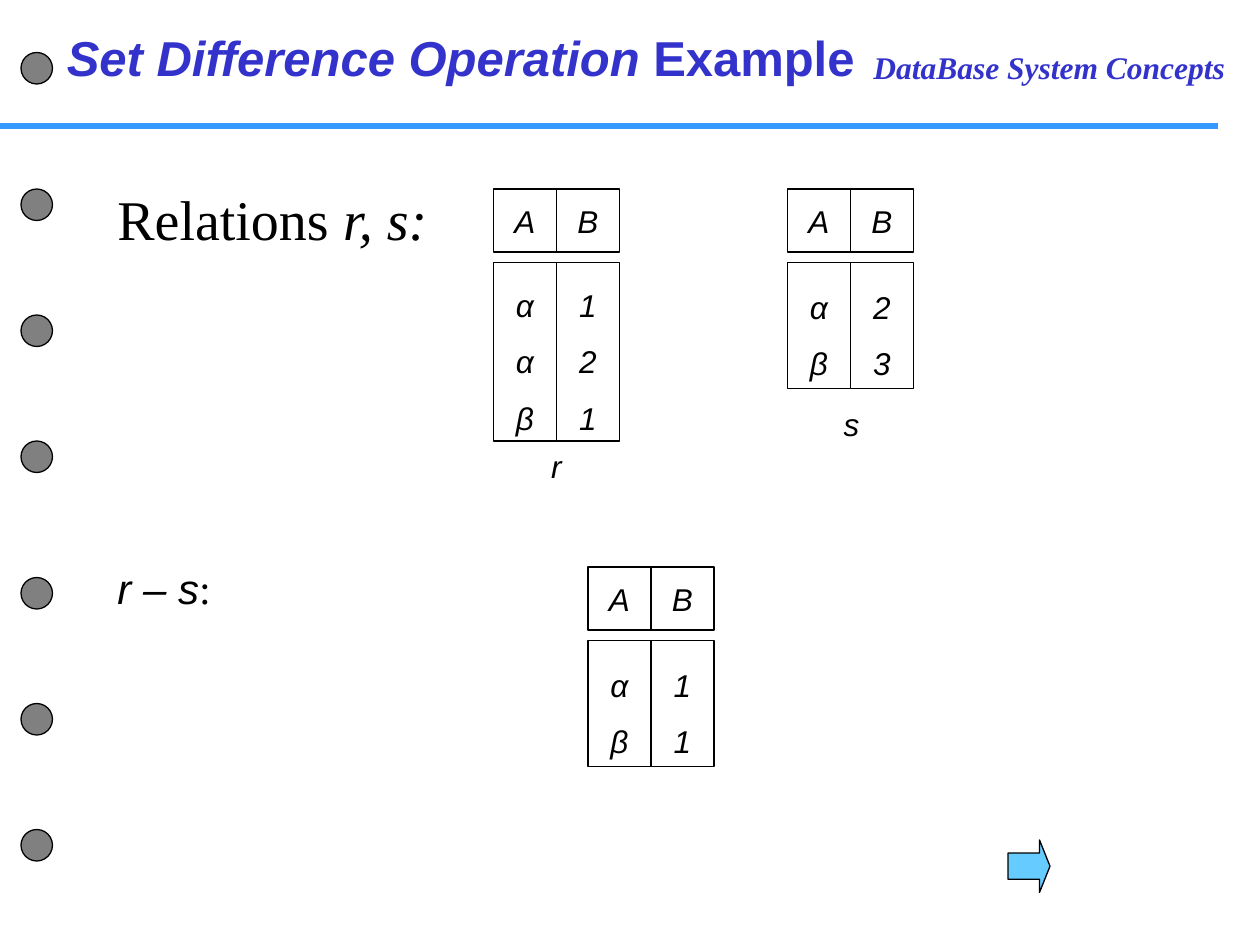
from lxml import etree
from pptx import Presentation
from pptx import util as u
from pptx.dml.color import RGBColor
from pptx.enum import shapes, text
from pptx.oxml.ns import qn

Pt = u.Pt
BLACK, WHITE, INDIGO = "000000", "FFFFFF", "3333CC"
SANS, SERIF = "Arial", "Times New Roman"
CENTER, LEFT = text.PP_ALIGN.CENTER, text.PP_ALIGN.LEFT


def color(value):
    return RGBColor.from_string(value)


def write(sp, lines, size=18, font=SANS, ink=BLACK, bold=False, italic=True,
          align=LEFT, anchor=text.MSO_ANCHOR.TOP, spacing=None, wrap=False,
          fit=text.MSO_AUTO_SIZE.NONE):
    """Fill a shape; each line is a list of (text, format overrides) runs."""
    tf = sp.text_frame
    tf.word_wrap, tf.auto_size, tf.vertical_anchor = wrap, fit, anchor
    tf.margin_left = tf.margin_right = Pt(7.2)
    tf.margin_top = tf.margin_bottom = Pt(3.6)
    for i, runs in enumerate(lines):
        p = tf.add_paragraph() if i else tf.paragraphs[0]
        p.alignment = align
        p.space_before = Pt(0)
        if spacing:
            p.line_spacing = spacing
        for words, over in runs:
            r = p.add_run()
            r.text = words
            r.font.size = Pt(size)
            r.font.name = over.get("font", font)
            r.font.bold = bold
            r.font.italic = over.get("italic", italic)
            r.font.color.rgb = color(ink)


def add_text(s, box, lines, **fmt):
    sp = s.shapes.add_textbox(*map(Pt, box))
    write(sp, lines, **fmt)


def add_shape(s, kind, box, fill):
    sp = s.shapes.add_shape(kind, *map(Pt, box))
    sp.shadow.inherit = False
    sp.fill.solid()
    sp.fill.fore_color.rgb = color(fill)
    sp.line.color.rgb = color(BLACK)
    sp.line.width = Pt(0.75)
    return sp


def add_header(s, box):
    left, top, width, height = box
    # Rule below the title
    rule = s.shapes.add_connector(shapes.MSO_CONNECTOR.STRAIGHT, Pt(left),
                                  Pt(top + height), Pt(left + width), Pt(top + height))
    rule.line.color.rgb = color("3399FF")
    rule.line.width = Pt(3)
    etree.SubElement(rule._element.spPr, qn("a:effectLst"))
    # Course name
    add_text(s, (left + 492, top + 24, 228, 29), [[("DataBase System Concepts", {})]],
             font=SERIF, ink=INDIGO, bold=True, wrap=True)
    # Title
    title = s.shapes.title
    title.left, title.top = Pt(left + 31), Pt(top + 12)
    title.width, title.height = Pt(465), Pt(41)
    write(title, [[("Set Difference Operation ", {}), ("Example", {"italic": False})]],
          size=28, ink=INDIGO, bold=True)


def add_binder_holes(s, box):
    left, top, size, _ = box
    for offset in (0, 78, 150, 222, 300, 372, 444):
        add_shape(s, shapes.MSO_SHAPE.OVAL, (left, top + offset, size, size), "808080")


def add_relation(s, box, columns, name=None):
    """Header cells over body cells, with an optional name centred below."""
    left, top, width, height = box
    cell_w, head_h, gap = width / len(columns), 36, 6
    body_top = top + head_h + gap
    for i, (heading, values) in enumerate(columns.items()):
        x = left + i * cell_w
        parts = [((x, top, cell_w, head_h), heading, None),
                 ((x, body_top, cell_w, top + height - body_top), values, 1.5)]
        for cell, content, spacing in parts:
            sp = add_shape(s, shapes.MSO_SHAPE.RECTANGLE, cell, WHITE)
            write(sp, [[(value, {})] for value in content], align=CENTER,
                  anchor=text.MSO_ANCHOR.MIDDLE, spacing=spacing)
    if name:
        label, drop = name
        add_text(s, (left + width / 2 - 11, top + height + drop, 22, 29), [[(label, {})]],
                 align=CENTER, anchor=text.MSO_ANCHOR.MIDDLE,
                 fit=text.MSO_AUTO_SIZE.SHAPE_TO_FIT_TEXT)


def main():
    prs = Presentation()
    prs.slide_width, prs.slide_height = Pt(720), Pt(540)
    s = prs.slides.add_slide(prs.slide_layouts[5])

    add_header(s, (0, 0, 696, 72))
    add_binder_holes(s, (12, 30, 18, 462))

    # Given relations
    add_text(s, (60, 102, 220, 44), [[("Relations ", {"italic": False}), ("r, s:", {})]],
             size=32, font=SERIF, wrap=True)
    add_relation(s, (282, 108, 72, 144), {"A": "ααβ", "B": "121"}, name=("r", 0))
    add_relation(s, (450, 108, 72, 114), {"A": "αβ", "B": "23"}, name=("s", 6))

    # Result of the difference
    add_text(s, (60, 318, 156, 26),
             [[("r – s", {}), (":", {"font": SERIF, "italic": False})]], size=24, wrap=True)
    add_relation(s, (336, 324, 72, 114), {"A": "αβ", "B": "11"})

    # Next-slide arrow
    arrow = add_shape(s, shapes.MSO_SHAPE.RIGHT_ARROW, (576, 480, 24, 30), "66CCFF")
    arrow.adjustments[0], arrow.adjustments[1] = 0.5, 0.25

    prs.save("out.pptx")


if __name__ == "__main__":
    main()
